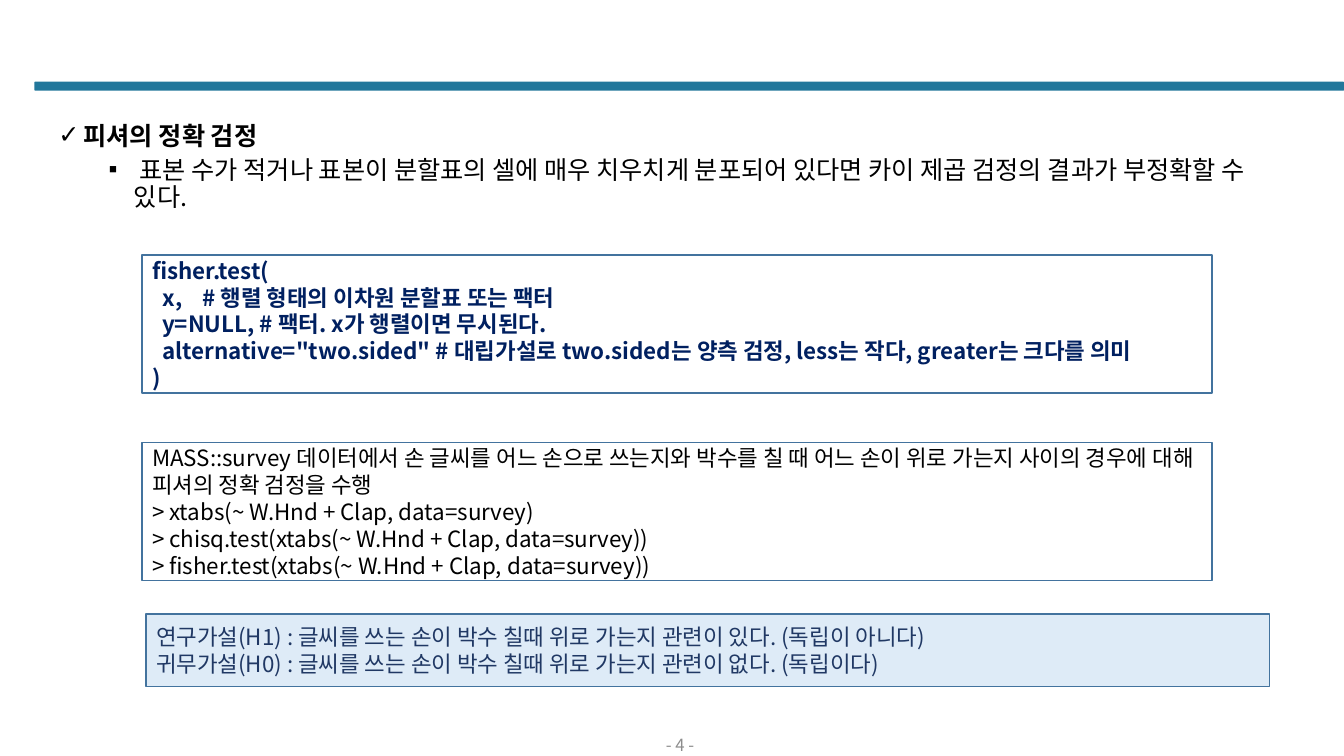
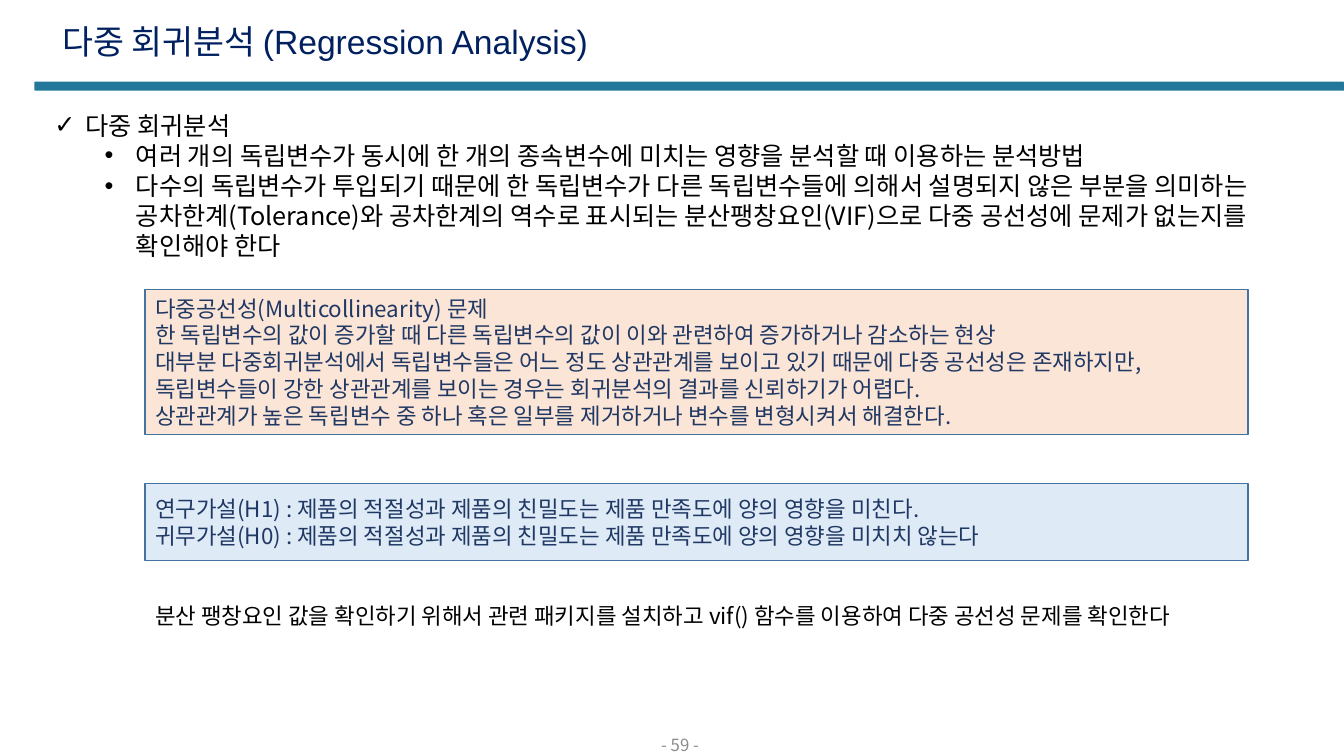
from dataclasses import dataclass

from lxml.etree import SubElement
from pptx import Presentation
from pptx.dml.color import RGBColor
from pptx.enum.shapes import MSO_SHAPE
from pptx.enum.text import MSO_ANCHOR, PP_ALIGN
from pptx.oxml.ns import qn
from pptx.util import Inches, Pt


@dataclass(frozen=True)
class Theme:
    font: str = "Noto Sans CJK KR"
    heading_font: str = "Arial"
    band: str = "22779B"
    outline: str = "43739E"
    black: str = "000000"
    navy: str = "002060"
    hypothesis_text: str = "203864"
    footer_text: str = "8C8C8C"
    blue_fill: str = "DEEBF7"
    orange_fill: str = "FBE5D6"
    title_size: int = 24
    bullet_size: int = 18
    box_size: int = 16
    footer_size: int = 12
    line_height: float = 1.2
    tight_line_height: float = 1.08


THEME = Theme()


@dataclass(frozen=True)
class Bullet:
    text: str
    mark: str
    left: float
    hang: float
    space_before: float = 0
    bold: bool = False
    font: str = THEME.font


def style_paragraph(paragraph, size, color, bold=False, font=THEME.font,
                    line_height=THEME.line_height):
    """Set exact line spacing and format all runs, Korean text included."""
    paragraph.line_spacing = Pt(round(size * line_height, 1))
    for run in paragraph.runs:
        run.font.size = Pt(size)
        run.font.bold = bold
        run.font.name = font
        run.font.color.rgb = RGBColor.from_string(color)
        east_asian = SubElement(run.font._element, qn("a:ea"))
        east_asian.set("typeface", THEME.font)


def set_indent(paragraph, left, first_line):
    properties = paragraph._p.get_or_add_pPr()
    properties.set("marL", str(Inches(left)))
    properties.set("indent", str(Inches(first_line)))
    return properties


def add_text(slide, position, lines, size, color, anchor=MSO_ANCHOR.TOP, **style):
    text_box = slide.shapes.add_textbox(*map(Inches, position))
    fill_text_frame(text_box.text_frame, lines, size, color, anchor, **style)
    return text_box.text_frame


def fill_text_frame(text_frame, lines, size, color, anchor, **style):
    text_frame.word_wrap = True
    text_frame.vertical_anchor = anchor
    text_frame.text = "\n".join(lines)
    for paragraph in text_frame.paragraphs:
        paragraph.alignment = PP_ALIGN.LEFT
        style_paragraph(paragraph, size, color, **style)


def add_band(slide):
    band = slide.shapes.add_shape(
        MSO_SHAPE.ROUNDED_RECTANGLE, *map(Inches, (0.34, 0.81, 12.99, 0.09)))
    band.adjustments[0] = 0.13
    band.shadow.inherit = False
    band.fill.solid()
    band.fill.fore_color.rgb = RGBColor.from_string(THEME.band)
    band.line.fill.background()


def add_page_number(slide, number):
    text_frame = add_text(slide, (5.19, 7.27, 3.11, 0.23), [f"- {number} -"],
                          THEME.footer_size, THEME.footer_text, MSO_ANCHOR.MIDDLE)
    text_frame.paragraphs[0].alignment = PP_ALIGN.CENTER


def add_page(presentation, number):
    slide = presentation.slides.add_slide(presentation.slide_layouts[6])
    add_band(slide)
    add_page_number(slide, number)
    return slide


def add_title(slide, title):
    add_text(slide, (0.52, 0.2, 11.5, 0.44), [title], THEME.title_size, THEME.navy,
             font=THEME.heading_font, line_height=THEME.tight_line_height)


def add_bullets(slide, position, bullets, line_height=THEME.line_height):
    text_box = slide.shapes.add_textbox(*map(Inches, position))
    text_frame = text_box.text_frame
    text_frame.word_wrap = True
    text_frame.text = "\n".join(bullet.text for bullet in bullets)
    for paragraph, bullet in zip(text_frame.paragraphs, bullets):
        style_paragraph(paragraph, THEME.bullet_size, THEME.black, bullet.bold,
                        bullet.font, line_height)
        paragraph.space_before = Pt(bullet.space_before)
        properties = set_indent(paragraph, bullet.left, -bullet.hang)
        SubElement(properties, qn("a:buFont")).set("typeface", THEME.heading_font)
        SubElement(properties, qn("a:buChar")).set("char", bullet.mark)


def add_box(slide, position, lines, color, fill=None, bold=False):
    box = slide.shapes.add_shape(MSO_SHAPE.RECTANGLE, *map(Inches, position))
    box.shadow.inherit = False
    if fill:
        box.fill.solid()
        box.fill.fore_color.rgb = RGBColor.from_string(fill)
    else:
        box.fill.background()
    box.line.color.rgb = RGBColor.from_string(THEME.outline)
    box.line.width = Pt(1)
    fill_text_frame(box.text_frame, lines, THEME.box_size, color,
                    MSO_ANCHOR.MIDDLE, bold=bold)
    return box.text_frame


def indent_arguments(text_frame):
    """Indent the lines between the brackets and line up the first comment."""
    for paragraph in text_frame.paragraphs[1:-1]:
        properties = set_indent(paragraph, 0, 0.1)
        tab_stops = SubElement(properties, qn("a:tabLst"))
        tab_stop = SubElement(tab_stops, qn("a:tab"))
        tab_stop.set("pos", str(Inches(0.62)))
        tab_stop.set("algn", "l")


def build_fisher_slide(presentation):
    slide = add_page(presentation, 4)
    add_bullets(slide, (0.48, 1.17, 12.12, 1.08), [
        Bullet("피셔의 정확 검정", "✓", 0.25, 0.25, bold=True),
        Bullet(" 표본 수가 적거나 표본이 분할표의 셀에 매우 치우치게 분포되어 있다면 "
               "카이 제곱 검정의 결과가 부정확할 수 있다.", "▪", 0.75, 0.25, 5),
    ], THEME.tight_line_height)
    usage = add_box(slide, (1.41, 2.53, 10.61, 1.37), [
        "fisher.test(",
        "x,\t# 행렬 형태의 이차원 분할표 또는 팩터",
        "y=NULL, # 팩터. x가 행렬이면 무시된다.",
        'alternative="two.sided" # 대립가설로 two.sided는 양측 검정, '
        "less는 작다, greater는 크다를 의미",
        ")",
    ], THEME.navy, bold=True)
    indent_arguments(usage)
    add_box(slide, (1.41, 4.39, 10.61, 1.37), [
        "MASS::survey 데이터에서 손 글씨를 어느 손으로 쓰는지와 박수를 칠 때 "
        "어느 손이 위로 가는지 사이의 경우에 대해 피셔의 정확 검정을 수행",
        "> xtabs(~ W.Hnd + Clap, data=survey)",
        "> chisq.test(xtabs(~ W.Hnd + Clap, data=survey))",
        "> fisher.test(xtabs(~ W.Hnd + Clap, data=survey))",
    ], THEME.black)
    add_box(slide, (1.45, 6.09, 11.14, 0.72), [
        "연구가설(H1) : 글씨를 쓰는 손이 박수 칠때 위로 가는지 관련이 있다. (독립이 아니다)",
        "귀무가설(H0) : 글씨를 쓰는 손이 박수 칠때 위로 가는지 관련이 없다. (독립이다)",
    ], THEME.hypothesis_text, THEME.blue_fill)


def build_regression_slide(presentation):
    slide = add_page(presentation, 59)
    add_title(slide, "다중 회귀분석 (Regression Analysis)")
    add_bullets(slide, (0.44, 1.04, 12.28, 1.62), [
        Bullet("다중 회귀분석", "✓", 0.31, 0.31, font=THEME.heading_font),
        Bullet("여러 개의 독립변수가 동시에 한 개의 종속변수에 미치는 영향을 분석할 때 "
               "이용하는 분석방법", "•", 0.81, 0.31),
        Bullet("다수의 독립변수가 투입되기 때문에 한 독립변수가 다른 독립변수들에 의해서 "
               "설명되지 않은 부분을 의미하는 공차한계(Tolerance)와 공차한계의 역수로 "
               "표시되는 분산팽창요인(VIF)으로 다중 공선성에 문제가 없는지를 확인해야 한다",
               "•", 0.81, 0.31),
    ])
    left, width = 1.44, 10.94
    add_box(slide, (left, 2.87, width, 1.44), [
        "다중공선성(Multicollinearity) 문제",
        "한 독립변수의 값이 증가할 때 다른 독립변수의 값이 이와 관련하여 "
        "증가하거나 감소하는 현상",
        "대부분 다중회귀분석에서 독립변수들은 어느 정도 상관관계를 보이고 있기 때문에 "
        "다중 공선성은 존재하지만, 독립변수들이 강한 상관관계를 보이는 경우는 "
        "회귀분석의 결과를 신뢰하기가 어렵다.",
        "상관관계가 높은 독립변수 중 하나 혹은 일부를 제거하거나 변수를 변형시켜서 해결한다.",
    ], THEME.hypothesis_text, THEME.orange_fill)
    add_box(slide, (left, 4.8, width, 0.76), [
        "연구가설(H1) : 제품의 적절성과 제품의 친밀도는 제품 만족도에 양의 영향을 미친다.",
        "귀무가설(H0) : 제품의 적절성과 제품의 친밀도는 제품 만족도에 양의 영향을 미치치 않는다",
    ], THEME.hypothesis_text, THEME.blue_fill)
    add_text(slide, (left, 5.92, width, 0.64), [
        "분산 팽창요인 값을 확인하기 위해서 관련 패키지를 설치하고 vif() 함수를 이용하여 "
        "다중 공선성 문제를 확인한다",
    ], THEME.box_size, THEME.black)


def main():
    presentation = Presentation()
    presentation.slide_width = Inches(13.33)
    presentation.slide_height = Inches(7.5)
    build_fisher_slide(presentation)
    build_regression_slide(presentation)
    presentation.save("out.pptx")


if __name__ == "__main__":
    main()
